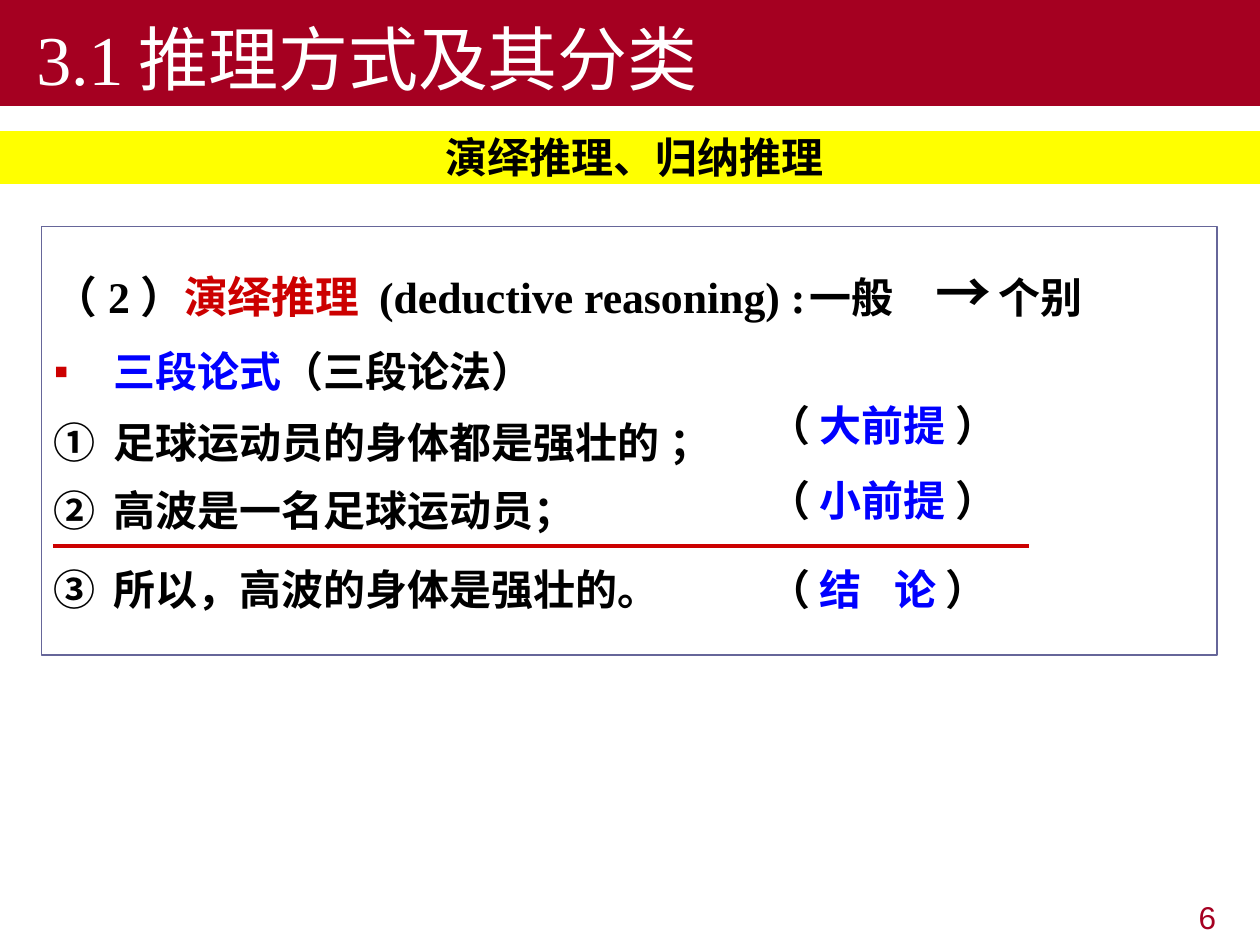
"""Build the slide on deductive reasoning and the syllogism."""
from lxml.etree import SubElement
from pptx import Presentation
from pptx.dml.color import RGBColor
from pptx.enum.shapes import MSO_CONNECTOR, MSO_SHAPE
from pptx.enum.text import MSO_ANCHOR, PP_ALIGN
from pptx.oxml.ns import qn
from pptx.util import Inches, Pt

BLACK, WHITE, BLUE, RED = "000000", "FFFFFF", "0000FF", "CC0000"
CRIMSON, YELLOW, SLATE = "A50021", "FFFF00", "666699"
SERIF, SANS = "Times New Roman", "Arial"

TITLE = [dict(runs=[("3.1\t推理方式及其分类", 40, WHITE)], indent=0.19, tabs=[1.3])]
BANNER = [dict(runs=[(" 演绎推理、归纳推理", 24, BLACK)], line=0.9, align=PP_ALIGN.CENTER)]
NUMBER = [dict(runs=[("6", 18, CRIMSON)], align=PP_ALIGN.RIGHT)]
SYLLOGISM = [
    dict(runs=[("（2）", 25, BLACK), ("演绎推理 ", 25, RED),
               ("(deductive reasoning) :", 25, BLACK), ("\t一般\t", 24, BLACK),
               ("→", 32, BLACK), ("\t个别", 24, BLACK)], tabs=[6.4, 7.3, 7.89]),
    dict(runs=[(" 三段论式", 24, BLUE), ("（三段论法）", 24, BLACK)],
         before=50, bullet="▪"),
    dict(runs=[(" 足球运动员的身体都是强壮的 ；", 24, BLACK)], before=50, bullet="auto"),
    dict(runs=[(" 高波是一名足球运动员；", 24, BLACK)], before=40, bullet="auto"),
    dict(runs=[(" 所以，高波的身体是强壮的。", 24, BLACK)], before=70, after=40, bullet="auto"),
]
PREMISES = [
    dict(runs=[("（ ", 24, BLACK), (name + " ", 24, BLUE), ("）", 24, BLACK)],
         line=1.5, before=before, tabs=tabs)
    for name, before, tabs in [("大前提", 0, []), ("小前提", 0, []), ("结\t论", 30, [0.97])]
]


def rgb(value):
    return RGBColor.from_string(value)


def add_percent_space(pPr, tag, percent):
    SubElement(SubElement(pPr, qn(tag)), qn("a:spcPct"), val=str(percent * 1000))


def add_bullet(pPr, bullet):
    if bullet == "auto":
        SubElement(pPr, qn("a:buFont"), typeface="+mj-lt")
        SubElement(pPr, qn("a:buAutoNum"), type="circleNumDbPlain")
    else:
        SubElement(SubElement(pPr, qn("a:buClr")), qn("a:srgbClr"), val=RED)
        SubElement(pPr, qn("a:buFont"), typeface=SANS)
        SubElement(pPr, qn("a:buChar"), char=bullet)


def format_paragraph(p, item):
    p.alignment = item.get("align", PP_ALIGN.LEFT)
    if "line" in item:
        p.line_spacing = item["line"]
    pPr = p._p.get_or_add_pPr()
    for key, tag in [("before", "a:spcBef"), ("after", "a:spcAft")]:
        if item.get(key):
            add_percent_space(pPr, tag, item[key])
    hang = 0.4 if "bullet" in item else 0
    pPr.set("marL", str(Inches(hang)))
    pPr.set("indent", str(Inches(item.get("indent", -hang))))
    if "bullet" in item:
        add_bullet(pPr, item["bullet"])
    if item.get("tabs"):
        tabs = SubElement(pPr, qn("a:tabLst"))
        for pos in item["tabs"]:
            SubElement(tabs, qn("a:tab"), pos=str(Inches(pos)), algn="l")


def add_text(sp, items, font, bold=False, anchor=MSO_ANCHOR.TOP):
    tf = sp.text_frame
    tf.word_wrap = True
    tf.vertical_anchor = anchor
    for i, item in enumerate(items):
        p = tf.add_paragraph() if i else tf.paragraphs[0]
        format_paragraph(p, item)
        for text, size, color in item["runs"]:
            r = p.add_run()
            r.text = text
            r.font.name, r.font.size, r.font.bold = font, Pt(size), bold
            r.font.color.rgb = rgb(color)
    return tf


def add_box(s, at, fill=None, line=None):
    sp = s.shapes.add_shape(MSO_SHAPE.RECTANGLE, *map(Inches, at))
    sp.shadow.inherit = False
    if fill:
        sp.fill.solid()
        sp.fill.fore_color.rgb = rgb(fill)
    else:
        sp.fill.background()
    if line:
        sp.line.color.rgb = rgb(line)
        sp.line.width = Pt(0.75)
    else:
        sp.line.fill.background()
    return sp


def add_rule(s, x1, x2, y):
    ln = s.shapes.add_connector(MSO_CONNECTOR.STRAIGHT, *map(Inches, (x1, y, x2, y)))
    ln.line.color.rgb = rgb(RED)
    ln.line.width = Pt(2.25)
    SubElement(ln._element.spPr, qn("a:effectLst"))


def main():
    prs = Presentation()
    prs.slide_width, prs.slide_height = Inches(10), Inches(7.5)
    s = prs.slides.add_slide(prs.slide_layouts[6])
    add_text(s.shapes.add_textbox(*map(Inches, (7.58, 7.08, 2.17, 0.39))), NUMBER, SANS)
    tf = add_text(add_box(s, (0.33, 1.8, 9.33, 3.4), line=SLATE),
                  SYLLOGISM, SERIF, True, MSO_ANCHOR.MIDDLE)
    tf.margin_bottom = Inches(0.13)
    add_text(add_box(s, (0, 0, 10, 0.84), CRIMSON), TITLE, SERIF, anchor=MSO_ANCHOR.BOTTOM)
    add_rule(s, 0.42, 8.17, 4.33)
    add_text(s.shapes.add_textbox(*map(Inches, (6, 2.92, 2.17, 2.02))), PREMISES, SANS, True)
    add_text(add_box(s, (0, 1.04, 10, 0.42), YELLOW), BANNER, SERIF, True)
    prs.save("out.pptx")


if __name__ == "__main__":
    main()
